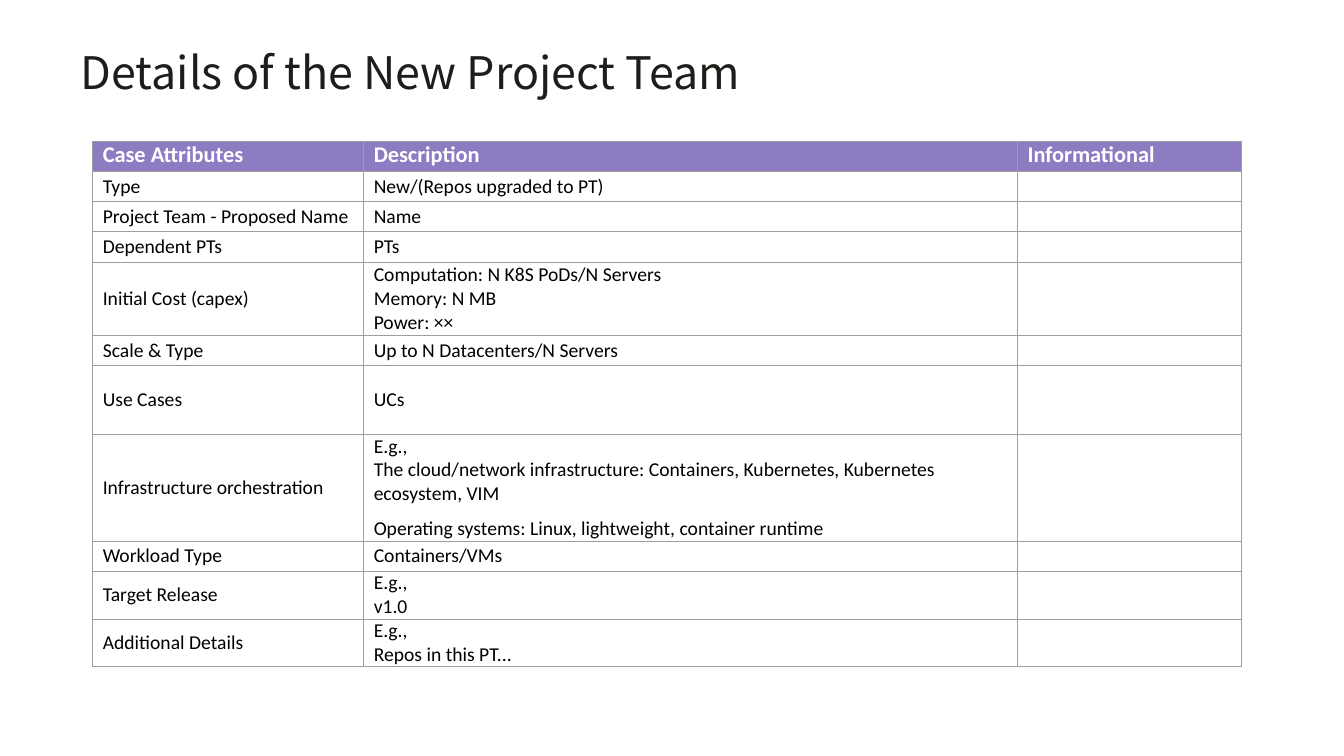
"""Build the slide with the details of a new project team."""
import pptx
import pptx.dml.color
import pptx.enum.text
import pptx.oxml
import pptx.oxml.ns
import pptx.util

Inches = pptx.util.Inches
Pt = pptx.util.Pt
Color = pptx.dml.color.RGBColor
Anchor = pptx.enum.text.MSO_ANCHOR

INK = Color(0x1D, 0x1D, 0x1A)
BLACK = Color(0x00, 0x00, 0x00)
WHITE = Color(0xFF, 0xFF, 0xFF)
VIOLET = Color(0x8E, 0x7C, 0xC3)
GREY = Color(0x9E, 0x9E, 0x9E)

COLS = [2.69, 6.49, 2.22]
LINE = 0.3
ROWS = [
    (LINE, "Case Attributes", ["Description"], "Informational"),
    (LINE, "Type", ["New/(Repos upgraded to PT)"], ""),
    (LINE, "Project Team - Proposed Name", ["Name"], ""),
    (LINE, "Dependent PTs", ["PTs"], ""),
    (0.73, "Initial Cost (capex)",
     ["Computation: N K8S PoDs/N Servers", "Memory: N MB", "Power: ××"], ""),
    (LINE, "Scale & Type", ["Up to N Datacenters/N Servers"], ""),
    (0.68, "Use Cases", ["UCs"], ""),
    (0.73, "Infrastructure orchestration",
     ["E.g.,",
      "The cloud/network infrastructure: Containers, Kubernetes, "
      "Kubernetes ecosystem, VIM",
      "Operating systems: Linux, lightweight, container runtime"], ""),
    (LINE, "Workload Type", ["Containers/VMs"], ""),
    (LINE, "Target Release", ["E.g.,", "v1.0"], ""),
    (LINE, "Additional Details", ["E.g.,", "Repos in this PT..."], ""),
]


def frame(cell):
    """Draw a thin grey line on each side of a cell."""
    props = cell._tc.get_or_add_tcPr()
    for spot, side in enumerate(("lnL", "lnR", "lnT", "lnB")):
        props.insert(spot, pptx.oxml.parse_xml(
            f'<a:{side} {pptx.oxml.ns.nsdecls("a")} w="{Pt(0.75)}">'
            f'<a:solidFill><a:srgbClr val="{GREY}"/></a:solidFill></a:{side}>'))


def write(cell, lines, head):
    """Fill a cell with one paragraph for each line."""
    text = cell.text_frame
    for spot, line in enumerate(lines):
        para = text.paragraphs[0] if spot == 0 else text.add_paragraph()
        if line.startswith("Operating"):
            para.space_before = Pt(8)
        if not line:
            end = pptx.oxml.parse_xml(
                f'<a:endParaRPr {pptx.oxml.ns.nsdecls("a")} sz="1400"/>')
            para._p.append(end)
            continue
        run = para.add_run()
        run.text = line
        run.font.name = "Calibri"
        run.font.size = Pt(16 if head else 14)
        run.font.bold = head
        run.font.color.rgb = WHITE if head else BLACK


deck = pptx.Presentation()
deck.slide_width = Inches(13.34)
deck.slide_height = Inches(7.5)
slide = deck.slides.add_slide(deck.slide_layouts[5])

title = slide.shapes.title
title.left, title.top = Inches(0.8), Inches(0.5)
title.width, title.height = Inches(11.75), Inches(1.09)
body = title.text_frame
body.margin_left = body.margin_right = 0
body.margin_top = body.margin_bottom = 0
body.vertical_anchor = Anchor.TOP
body.auto_size = pptx.enum.text.MSO_AUTO_SIZE.NONE
para = body.paragraphs[0]
para.alignment = pptx.enum.text.PP_ALIGN.LEFT
para.line_spacing = Pt(34.3)
run = para.add_run()
run.text = "Details of the New Project Team"
run.font.name = "Noto Sans CJK SC"
run.font.size = Pt(32)
run.font.color.rgb = INK

high = sum(row[0] for row in ROWS)
grid = slide.shapes.add_table(
    len(ROWS), len(COLS), Inches(0.92), Inches(1.4),
    Inches(sum(COLS)), Inches(high)).table
grid.horz_banding = False
for col, wide in zip(grid.columns, COLS):
    col.width = Inches(wide)

for r, (tall, name, lines, info) in enumerate(ROWS):
    head = r == 0
    grid.rows[r].height = Inches(tall)
    for c, words in enumerate(([name], lines, [info])):
        cell = grid.cell(r, c)
        cell.margin_left = cell.margin_right = Inches(0.1)
        cell.margin_top = cell.margin_bottom = 0
        cell.vertical_anchor = Anchor.TOP if head else Anchor.MIDDLE
        cell.fill.solid()
        cell.fill.fore_color.rgb = VIOLET if head else WHITE
        frame(cell)
        write(cell, words, head)

deck.save("out.pptx")
